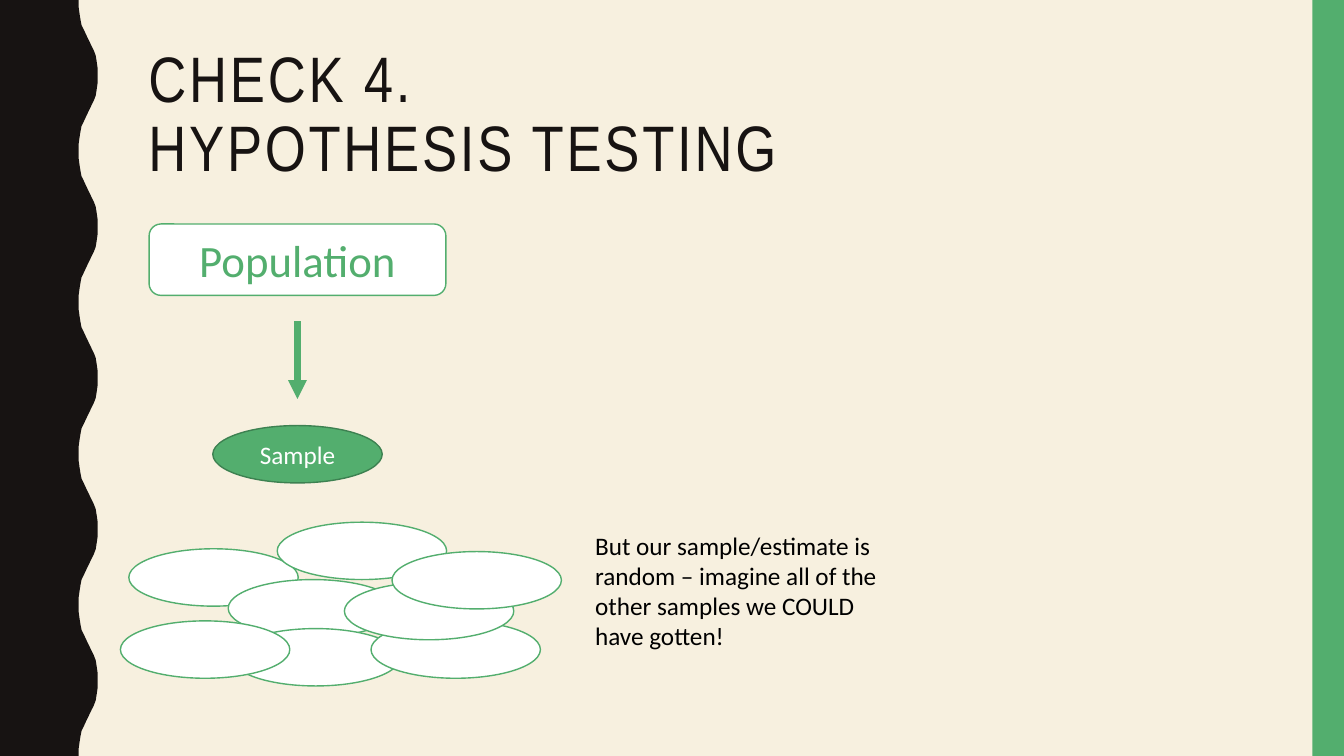
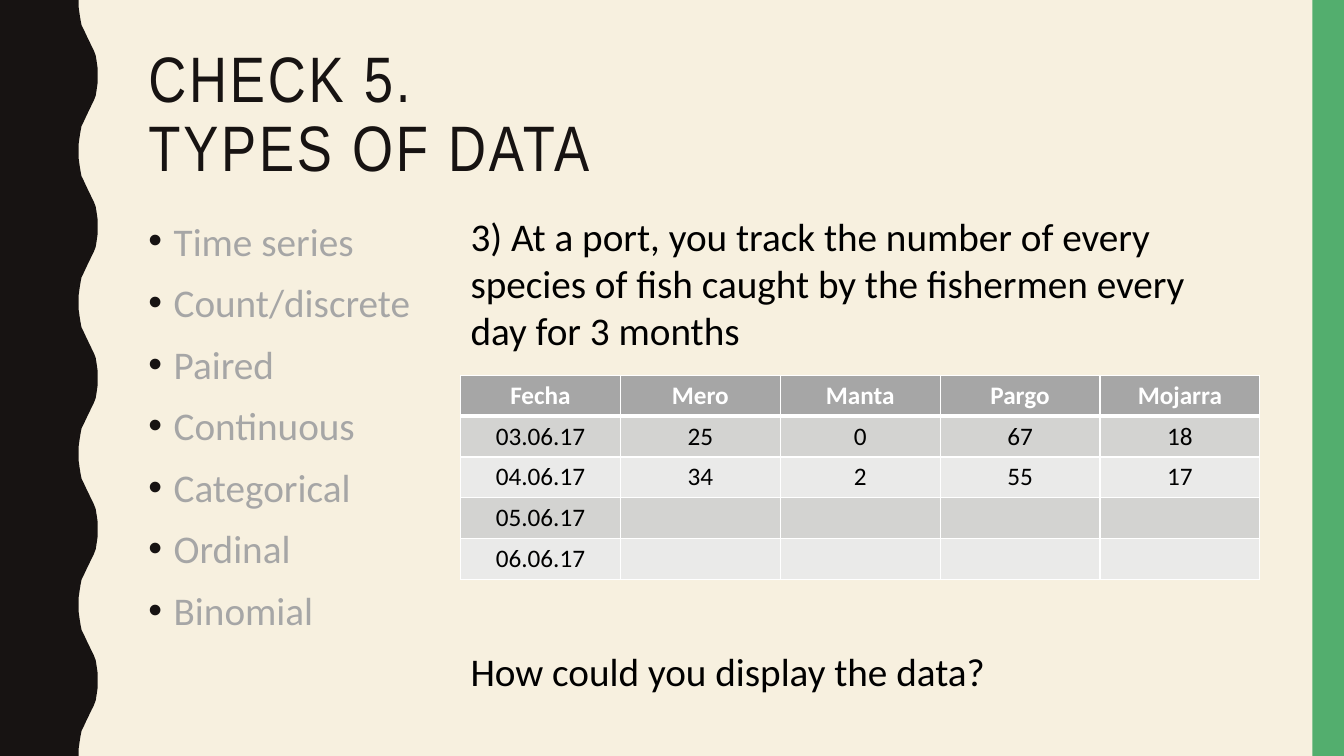
"""Builds two course slides on testing and types of data."""
import pptx
import pptx.util
import pptx.dml.color
import pptx.enum.shapes
import pptx.enum.text
import pptx.oxml
import pptx.oxml.ns

Pt = pptx.util.Pt
Shape = pptx.enum.shapes.MSO_SHAPE
Align = pptx.enum.text.PP_ALIGN
Anchor = pptx.enum.text.MSO_ANCHOR

COLORS = {
    "paper": "F7F0DF", "ink": "171312", "green": "53AE6E", "moss": "3D8151",
    "white": "FFFFFF", "black": "000000", "gray": "A6A6A6",
    "dark": "D3D3D1", "light": "EAEAE9",
}
WIDE, HIGH = 960, 540
HALF = 54
CURVE = [
    (56.2, 0), (56.2, 5), (56.9, 10), (57.6, 14.4), (58.3, 18), (59.8, 21),
    (61.2, 24), (62.6, 27), (64.1, 30), (65.5, 33), (67, 36), (68.4, 39.6),
    (69.1, 44), (69.8, 49), (69.8, 54),
]
OVAL = (121, 41)
BLANKS = [
    (92, 392), (163, 414), (165, 449), (86, 443.5),
    (265, 443.5), (198, 373), (246, 416), (280, 394),
]
TYPES = ["Time series", "Count/discrete", "Paired", "Continuous",
         "Categorical", "Ordinal", "Binomial"]
CATCH = [
    ["Fecha", "Mero", "Manta", "Pargo", "Mojarra"],
    ["03.06.17", "25", "0", "67", "18"],
    ["04.06.17", "34", "2", "55", "17"],
    ["05.06.17", "", "", "", ""],
    ["06.06.17", "", "", "", ""],
]


def tint(name):
    return pptx.dml.color.RGBColor.from_string(COLORS[name])


def node(xml):
    head, tail = xml.split(" ", 1)
    space = pptx.oxml.ns.nsdecls("a")
    return pptx.oxml.parse_xml(f"{head} {space} {tail}")


def paint(shape, fill, line=None):
    shape.shadow.inherit = False
    shape.fill.solid()
    shape.fill.fore_color.rgb = tint(fill)
    if line:
        shape.line.color.rgb = tint(line)
        shape.line.width = Pt(1)
    else:
        shape.line.fill.background()


def write(frame, text, size=18, color="black", font="Calibri", bold=False,
          align=None, lead=None, gap=0, track=0, bullet=None):
    for i, line in enumerate(text.split("\n")):
        para = frame.add_paragraph() if i else frame.paragraphs[0]
        para.text = line
        para.alignment = align
        para.line_spacing = lead
        if i and gap:
            para.space_before = Pt(gap)
        if bullet:
            props = para._p.get_or_add_pPr()
            props.set("marL", str(Pt(18)))
            props.set("indent", str(-Pt(18)))
            props.append(node(f'<a:buClr ><a:srgbClr val="{COLORS[bullet]}"/></a:buClr>'))
            props.append(node('<a:buFont typeface="Arial"/>'))
            props.append(node('<a:buChar char="•"/>'))
        for run in para.runs:
            run.font.size = Pt(size)
            run.font.name = font
            run.font.bold = bold
            run.font.color.rgb = tint(color)
            if track:
                run._r.get_or_add_rPr().set("spc", str(track * 100))


def add_text(slide, x, y, w, h, text, **style):
    frame = slide.shapes.add_textbox(Pt(x), Pt(y), Pt(w), Pt(h)).text_frame
    frame.word_wrap = True
    write(frame, text, **style)


def add_form(slide, kind, x, y, w, h, fill, line=None, text="", **style):
    shape = slide.shapes.add_shape(kind, Pt(x), Pt(y), Pt(w), Pt(h))
    paint(shape, fill, line)
    if text:
        shape.text_frame.vertical_anchor = Anchor.MIDDLE
        write(shape.text_frame, text, align=Align.CENTER, **style)


def add_wave(slide):
    edge = []
    for k in range(HIGH // HALF):
        part = CURVE if k % 2 == 0 else [(x, HALF - y) for x, y in reversed(CURVE)]
        edge += [(x * 10, (k * HALF + y) * 10) for x, y in part]
    form = slide.shapes.build_freeform(0, 0, scale=Pt(1) / 10)
    form.add_line_segments(edge + [(0, HIGH * 10)], close=True)
    paint(form.convert_to_shape(), "ink")


def add_arrow(slide, x, top, base):
    kind = pptx.enum.shapes.MSO_CONNECTOR.STRAIGHT
    arrow = slide.shapes.add_connector(kind, Pt(x), Pt(top), Pt(x), Pt(base))
    arrow.line.color.rgb = tint("green")
    arrow.line.width = Pt(4.5)
    arrow.line._get_or_add_ln().append(node('<a:tailEnd type="triangle"/>'))
    arrow._element.spPr.append(node("<a:effectLst />"))


def edge_cell(cell, top, base):
    props = cell._tc.get_or_add_tcPr()
    for side, width in (("L", 1), ("R", 1), ("T", top), ("B", base)):
        props.append(node(
            f'<a:ln{side} w="{Pt(width)}"><a:solidFill><a:srgbClr '
            f'val="{COLORS["white"]}"/></a:solidFill></a:ln{side}>'))


def add_grid(slide, x, y, wide, high, rows):
    count = len(rows[0])
    table = slide.shapes.add_table(len(rows), count, Pt(x), Pt(y),
                                   Pt(wide * count), Pt(high * len(rows))).table
    for col in table.columns:
        col.width = Pt(wide)
    for r, row in enumerate(rows):
        table.rows[r].height = Pt(high)
        fill = "gray" if r == 0 else ("light", "dark")[r % 2]
        for c, text in enumerate(row):
            cell = table.cell(r, c)
            edge_cell(cell, 3 if r == 1 else 1, 3 if r == 0 else 1)
            cell.fill.solid()
            cell.fill.fore_color.rgb = tint(fill)
            write(cell.text_frame, text, bold=r == 0, align=Align.CENTER,
                  color="black" if r else "white")


def add_slide(deck, title):
    slide = deck.slides.add_slide(deck.slide_layouts[6])
    add_wave(slide)
    add_form(slide, Shape.RECTANGLE, 937.5, 0, 22.5, HIGH, "green")
    add_text(slide, 99, 30, 801, 88, title, size=45.9, color="ink",
             font="Arial Narrow", lead=0.9, track=2)
    return slide


def add_testing(deck):
    slide = add_slide(deck, "CHECK 4.\vHYPOTHESIS TESTING")
    add_form(slide, Shape.ROUNDED_RECTANGLE, 106.5, 160, 212, 51, "white",
             "green", "Population", size=32, color="green")
    add_arrow(slide, 212.5, 229.5, 285)
    add_form(slide, Shape.OVAL, 152, 304, *OVAL, "green", "moss", "Sample",
             color="white")
    for x, y in BLANKS:
        add_form(slide, Shape.OVAL, x, y, *OVAL, "white", "green")
    add_text(slide, 418, 375, 220, 94,
             "But our sample/estimate is random – imagine all of the other "
             "samples we COULD have gotten!")


def add_types(deck):
    slide = add_slide(deck, "CHECK 5.\vTYPES OF DATA")
    add_text(slide, 99, 148, 225, 315, "\n".join(TYPES), size=28, color="gray",
             lead=1.1, gap=7, bullet="ink")
    add_text(slide, 329, 148, 533, 111,
             "3) At a port, you track the number of every species of fish "
             "caught by the fishermen every day for 3 months", size=28)
    add_grid(slide, 329, 268, 114.2, 29.2, CATCH)
    add_text(slide, 329, 459, 511, 41, "How could you display the data?", size=28)


def main():
    deck = pptx.Presentation()
    deck.slide_width, deck.slide_height = Pt(WIDE), Pt(HIGH)
    back = deck.slide_master.background.fill
    back.solid()
    back.fore_color.rgb = tint("paper")
    add_testing(deck)
    add_types(deck)
    deck.save("out.pptx")


if __name__ == "__main__":
    main()
